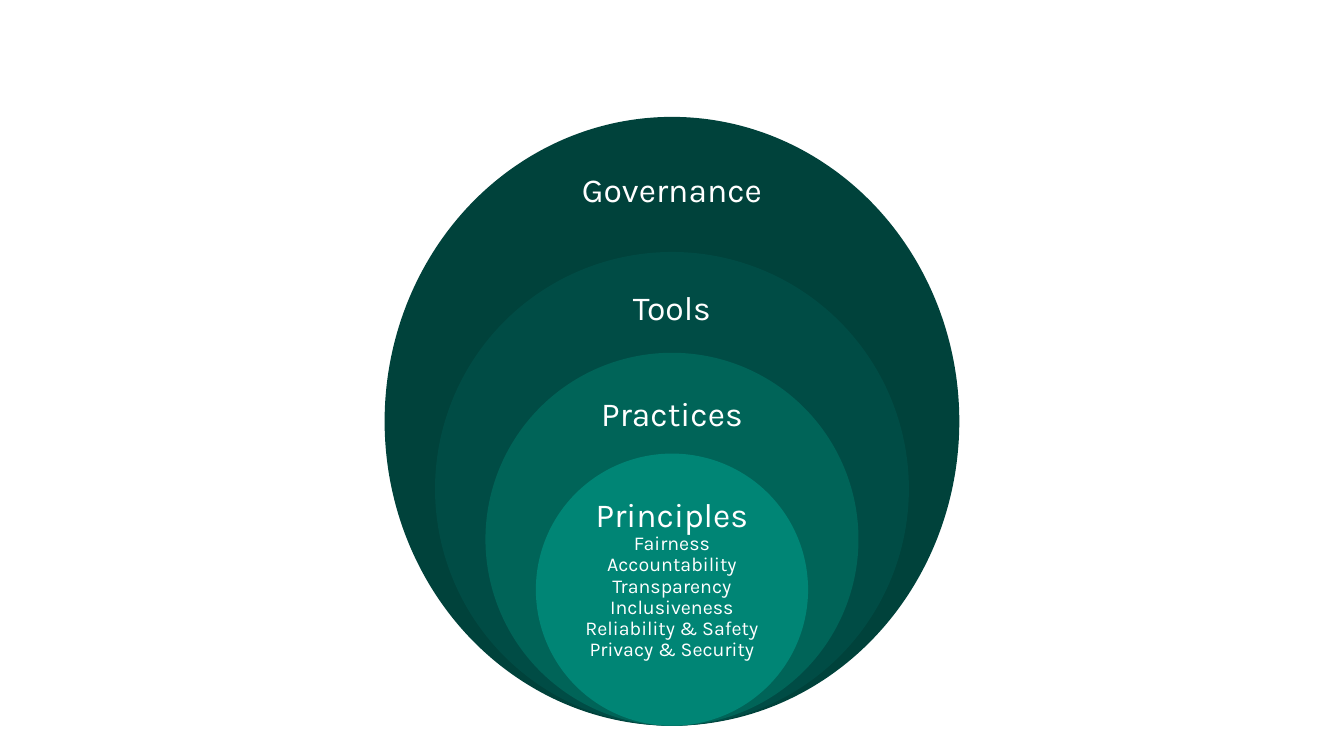
"""Draw four nested circles, from governance down to principles."""
from typing import NamedTuple

from pptx import Presentation
from pptx.dml.color import RGBColor as Rgb
from pptx.enum.shapes import MSO_SHAPE as Kind
from pptx.enum.text import MSO_ANCHOR as Anchor, PP_ALIGN as Align
from pptx.slide import Slide
from pptx.util import Inches, Pt

COLORS = {
    "Governance": "00423B",
    "Tools": "004C45",
    "Practices": "006458",
    "Principles": "008575",
    "text": "FFFFFF",
}
WIDTH, HEIGHT = Inches(13.33), Inches(7.5)
ROW = HEIGHT / 75
BASE = 72


class Ring(NamedTuple):
    """A circle: its size and lower inset in grid rows, and its text."""
    name: str
    wide: float
    high: float
    inset: float
    items: tuple[str, ...] = ()


RINGS = [
    Ring("Governance", 57, 60.4, 50),
    Ring("Tools", 47, 47, 40),
    Ring("Practices", 37, 37, 29),
    Ring("Principles", 27, 27, 0, (
        "Fairness", "Accountability", "Transparency", "Inclusiveness",
        "Reliability & Safety", "Privacy & Security")),
]


def rows(count: float) -> int:
    """Turn grid rows into a length."""
    return round(count * ROW)


def draw(slide: Slide, ring: Ring) -> None:
    """Draw one ring, centred across the slide and resting on the base."""
    wide, high = rows(ring.wide), rows(ring.high)
    shape = slide.shapes.add_shape(
        Kind.OVAL, (WIDTH - wide) // 2, rows(BASE) - high, wide, high)
    shape.shadow.inherit = False
    shape.fill.solid()
    shape.fill.fore_color.rgb = Rgb.from_string(COLORS[ring.name])
    shape.line.fill.background()

    frame = shape.text_frame
    frame.word_wrap = True
    frame.vertical_anchor = Anchor.TOP
    frame.margin_left = frame.margin_right = frame.margin_top = 0
    frame.margin_bottom = rows(ring.inset)
    frame.text = "\n".join((ring.name, *ring.items))
    for rank, para in enumerate(frame.paragraphs):
        para.alignment = Align.CENTER
        if rank:
            para.line_spacing = 0.9
        font = para.runs[0].font
        font.name = "Karla"
        font.size = Pt(14 if rank else 24)
        font.color.rgb = Rgb.from_string(COLORS["text"])


def main() -> None:
    """Build the slide and save it."""
    deck = Presentation()
    deck.slide_width, deck.slide_height = WIDTH, HEIGHT
    slide = deck.slides.add_slide(deck.slide_layouts.get_by_name("Blank"))
    for ring in RINGS:
        draw(slide, ring)
    deck.save("out.pptx")


if __name__ == "__main__":
    main()
